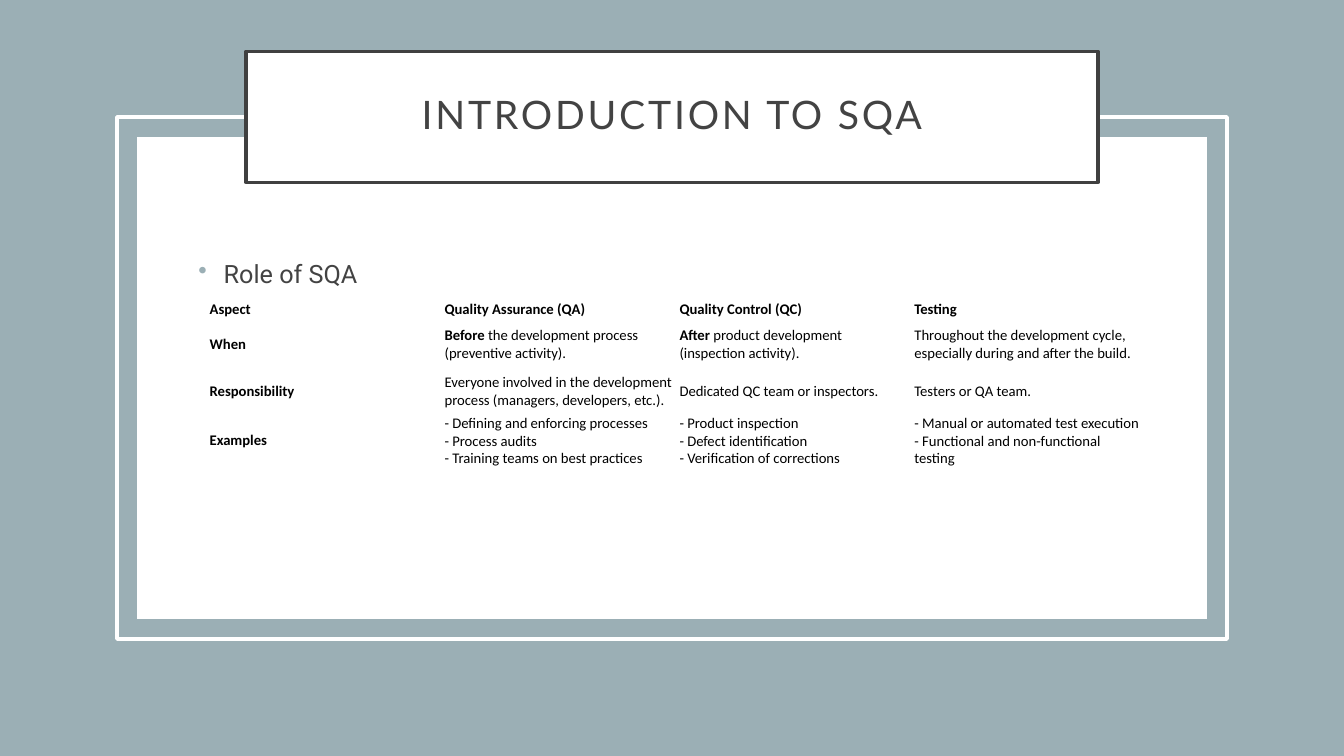
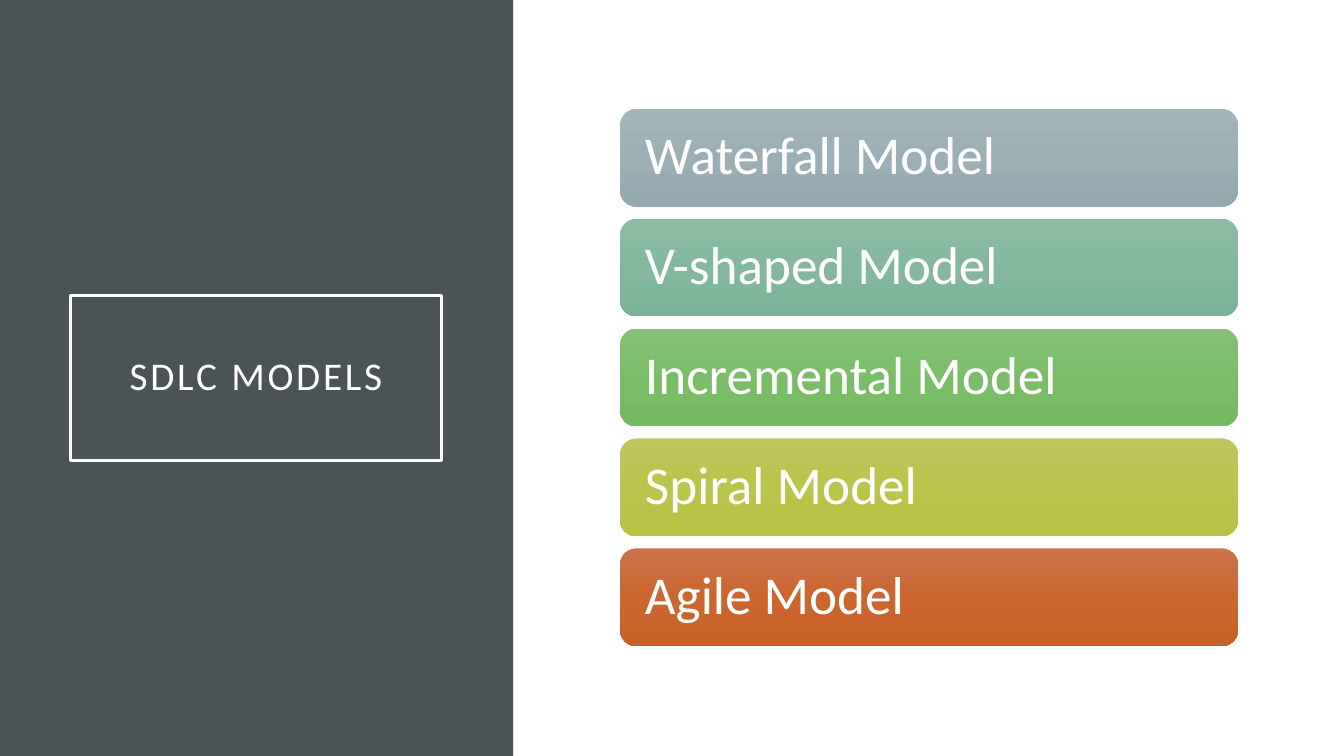
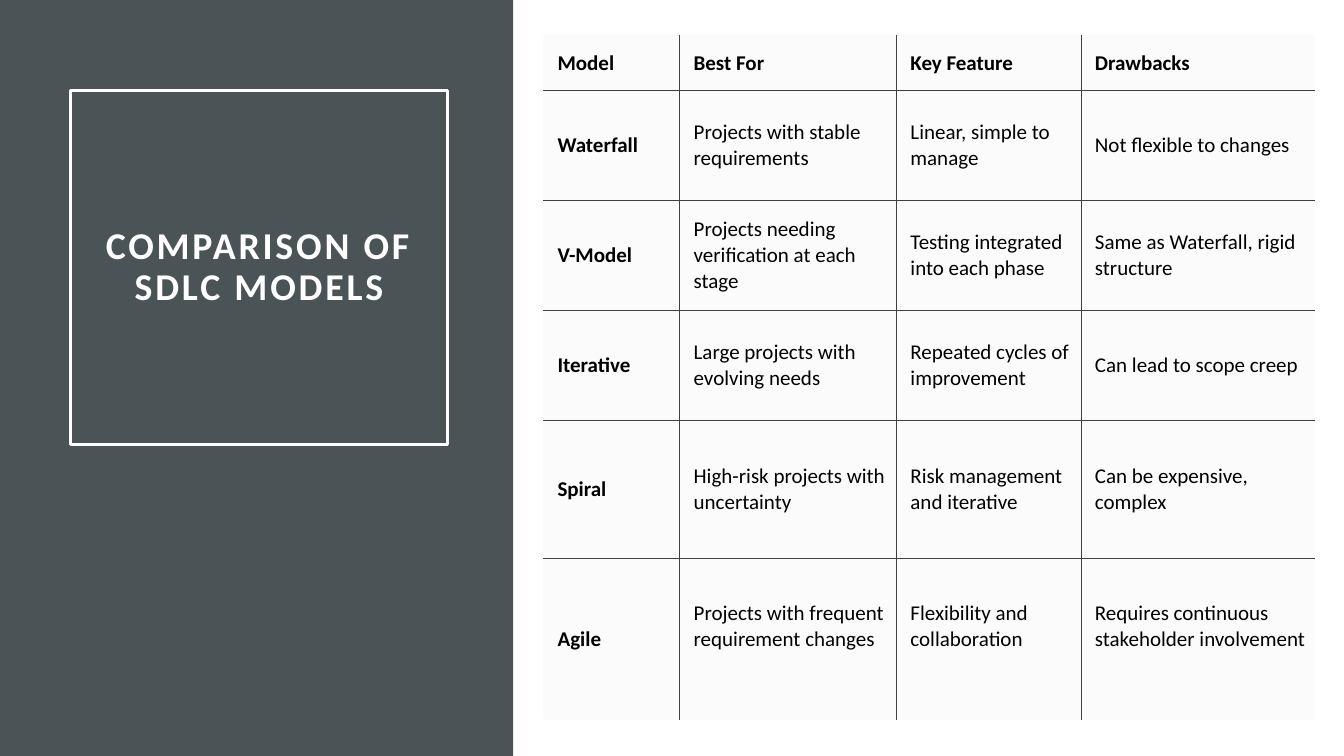
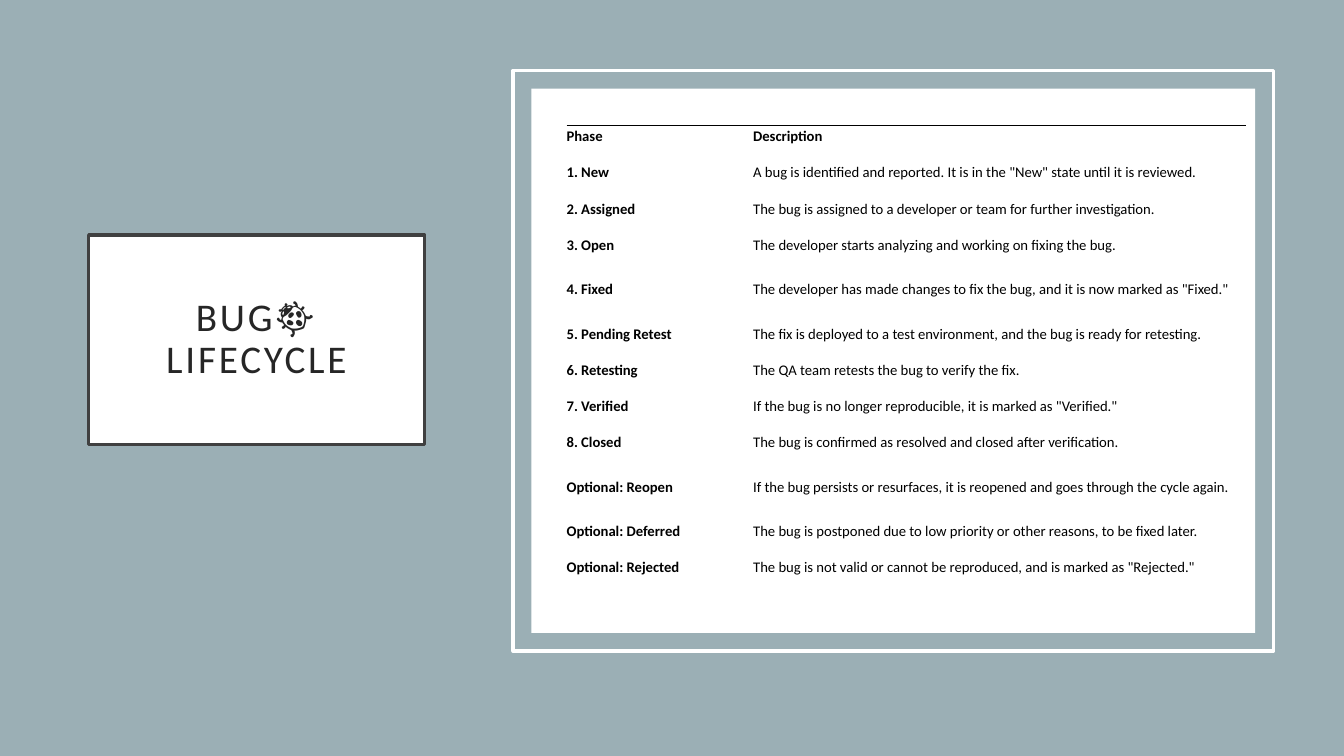
from lxml import etree
from pptx import Presentation
from pptx.dml.color import RGBColor
from pptx.enum.shapes import MSO_SHAPE
from pptx.enum.text import MSO_ANCHOR, PP_ALIGN
from pptx.oxml.ns import qn
from pptx.util import Inches, Pt

RECTANGLE = MSO_SHAPE.RECTANGLE
ROUNDED = MSO_SHAPE.ROUNDED_RECTANGLE
MIDDLE = MSO_ANCHOR.MIDDLE
CENTER = PP_ALIGN.CENTER
LEFT = PP_ALIGN.LEFT

WHITE = RGBColor(0xFF, 0xFF, 0xFF)
BLACK = RGBColor(0x00, 0x00, 0x00)
MIST = RGBColor(0x9B, 0xAF, 0xB5)
SLATE = RGBColor(0x4A, 0x53, 0x56)
CHARCOAL = RGBColor(0x40, 0x40, 0x40)
BODY_GRAY = RGBColor(0x43, 0x43, 0x43)
INK = RGBColor(0x26, 0x26, 0x26)
CELL_GRAY = RGBColor(0xF2, 0xF2, 0xF2)

SLIDE_WIDTH, SLIDE_HEIGHT = 13.33, 7.5
SIDEBAR_WIDTH = 5.09
FRAME_LINE = 2.5
FONT = "Calibri"
PLAIN_TABLE_STYLE = "{2D5ABB26-0587-4C30-8999-92F81FD0307C}"

# A tuple is a bold opening followed by regular text
ROLE_ROWS = [
    ["Aspect", "Quality Assurance (QA)", "Quality Control (QC)", "Testing"],
    ["When",
     ("Before", " the development process (preventive activity)."),
     ("After", " product development (inspection activity)."),
     "Throughout the development cycle, especially during and after the build."],
    ["Responsibility",
     "Everyone involved in the development process (managers, developers, etc.).",
     "Dedicated QC team or inspectors.",
     "Testers or QA team."],
    ["Examples",
     "- Defining and enforcing processes\n- Process audits\n- Training teams on best practices",
     "- Product inspection\n- Defect identification\n- Verification of corrections",
     "- Manual or automated test execution\n- Functional and non-functional testing"],
]

# Name and the three gradient colours from top to bottom
MODELS = [
    ("Waterfall Model", ("A3B5BB", "9BAFB5", "93A9AF")),
    ("V-shaped Model", ("8DBCA5", "83B89E", "7BB398")),
    ("Incremental Model", ("85C076", "7ABD68", "73B960")),
    ("Spiral Model", ("BEC65E", "BBC44B", "B8C243")),
    ("Agile Model", ("CC734B", "CB662F", "C86128")),
]

COMPARISON_ROWS = [
    ["Model", "Best For", "Key Feature", "Drawbacks"],
    ["Waterfall", "Projects with stable requirements",
     "Linear, simple to manage", "Not flexible to changes"],
    ["V-Model", "Projects needing verification at each stage",
     "Testing integrated into each phase", "Same as Waterfall, rigid structure"],
    ["Iterative", "Large projects with evolving needs",
     "Repeated cycles of improvement", "Can lead to scope creep"],
    ["Spiral", "High-risk projects with uncertainty",
     "Risk management and iterative", "Can be expensive, complex"],
    ["Agile", "Projects with frequent requirement changes",
     "Flexibility and collaboration", "Requires continuous stakeholder involvement"],
]

LIFECYCLE_ROWS = [
    ["Phase", "Description"],
    ["1. New", 'A bug is identified and reported. It is in the "New" state until it is reviewed.'],
    ["2. Assigned", "The bug is assigned to a developer or team for further investigation."],
    ["3. Open", "The developer starts analyzing and working on fixing the bug."],
    ["4. Fixed", 'The developer has made changes to fix the bug, and it is now marked as "Fixed."'],
    ["5. Pending Retest",
     "The fix is deployed to a test environment, and the bug is ready for retesting."],
    ["6. Retesting", "The QA team retests the bug to verify the fix."],
    ["7. Verified", 'If the bug is no longer reproducible, it is marked as "Verified."'],
    ["8. Closed", "The bug is confirmed as resolved and closed after verification."],
    ["Optional: Reopen",
     "If the bug persists or resurfaces, it is reopened and goes through the cycle again."],
    ["Optional: Deferred",
     "The bug is postponed due to low priority or other reasons, to be fixed later."],
    ["Optional: Rejected",
     'The bug is not valid or cannot be reproduced, and is marked as "Rejected."'],
]


# Shapes and text

def add_box(slide, left, top, width, height, fill=None, line=None, preset=RECTANGLE):
    shape = slide.shapes.add_shape(
        preset, Inches(left), Inches(top), Inches(width), Inches(height))
    shape.shadow.inherit = False
    if fill is None:
        shape.fill.background()
    else:
        shape.fill.solid()
        shape.fill.fore_color.rgb = fill
    if line is None:
        shape.line.fill.background()
    else:
        shape.line.color.rgb = line
        shape.line.width = Pt(FRAME_LINE)
    return shape


def set_margins(target, left, top, right, bottom):
    target.margin_left, target.margin_top = Inches(left), Inches(top)
    target.margin_right, target.margin_bottom = Inches(right), Inches(bottom)


def format_run(run, size, color, font=FONT, bold=False):
    run.font.size = Pt(size)
    run.font.name = font
    run.font.bold = bold
    run.font.color.rgb = color


def write_line(shape, text, size, color, align, side, font=FONT, bold=False):
    """One middle-anchored paragraph; returns its run."""
    text_frame = shape.text_frame
    text_frame.word_wrap = True
    text_frame.vertical_anchor = MIDDLE
    set_margins(text_frame, side, 0.2, side, 0.2)
    paragraph = text_frame.paragraphs[0]
    paragraph.text = text
    paragraph.alignment = align
    paragraph.line_spacing = 0.9
    run = paragraph.runs[0]
    format_run(run, size, color, font, bold)
    return run


def add_title(slide, text, box, color, line, fill=None, size=28, side=0.2,
              font=FONT, bold=False):
    shape = add_box(slide, *box, fill=fill, line=line)
    run = write_line(shape, text, size, color, CENTER, side, font, bold)
    run.font._element.set("spc", "200")


def add_bullet(slide, text, left, top, width, height):
    box = slide.shapes.add_textbox(
        Inches(left), Inches(top), Inches(width), Inches(height))
    box.text_frame.word_wrap = True
    paragraph = box.text_frame.paragraphs[0]
    paragraph.text = text
    properties = paragraph._p.get_or_add_pPr()
    properties.set("marL", str(Inches(0.25)))
    properties.set("indent", str(-Inches(0.25)))
    bullet_color = etree.SubElement(properties, qn("a:buClr"))
    etree.SubElement(bullet_color, qn("a:srgbClr"), val=str(MIST))
    etree.SubElement(properties, qn("a:buChar"), char="•")
    format_run(paragraph.runs[0], 18, BODY_GRAY, "Roboto")


def set_gradient(shape, colors):
    """Top-to-bottom gradient with evenly spaced stops."""
    shape.fill.gradient()
    gradient = shape._element.spPr.find(qn("a:gradFill"))
    stops = gradient.find(qn("a:gsLst"))
    for stop in list(stops):
        stops.remove(stop)
    for index, color in enumerate(colors):
        position = 100000 * index // (len(colors) - 1)
        stop = etree.SubElement(stops, qn("a:gs"), pos=str(position))
        etree.SubElement(stop, qn("a:srgbClr"), val=color)
    gradient.find(qn("a:lin")).set("ang", "5400000")


# Shared backdrops

def add_panel_backdrop(slide, left, top, width, height, inset):
    """Coloured page with a white panel inside a white outline."""
    add_box(slide, 0, 0, SLIDE_WIDTH, SLIDE_HEIGHT, fill=MIST)
    add_box(slide, left + inset, top + inset, width - 2 * inset, height - 2 * inset,
            fill=WHITE)
    add_box(slide, left, top, width, height, line=WHITE)


def add_sidebar(slide):
    add_box(slide, 0, 0, SIDEBAR_WIDTH, SLIDE_HEIGHT, fill=SLATE)


# Tables

def add_border(cell, side, color):
    line = etree.SubElement(cell._tc.get_or_add_tcPr(), qn("a:ln" + side),
                            w=str(Pt(0.5)))
    fill = etree.SubElement(line, qn("a:solidFill"))
    etree.SubElement(fill, qn("a:srgbClr"), val=str(color))


def write_cell(cell, content, size, bold):
    opening, rest = content if isinstance(content, tuple) else (content, "")
    cell.text_frame.text = opening
    for paragraph in cell.text_frame.paragraphs:
        for run in paragraph.runs:
            format_run(run, size, BLACK, bold=bold or bool(rest))
    if rest:
        run = cell.text_frame.paragraphs[0].add_run()
        run.text = rest
        format_run(run, size, BLACK)


def add_plain_table(slide, left, top, widths, heights, rows, size, margins):
    """Unstyled table with a bold first row and column; spare rows stay empty."""
    frame = slide.shapes.add_table(
        len(heights), len(widths), Inches(left), Inches(top),
        Inches(sum(widths)), Inches(sum(heights)))
    table = frame.table
    frame._element.find(".//" + qn("a:tableStyleId")).text = PLAIN_TABLE_STYLE
    table.horz_banding = False
    for column, width in zip(table.columns, widths):
        column.width = Inches(width)
    for row, height in zip(table.rows, heights):
        row.height = Inches(height)
    for cell in table.iter_cells():
        cell.vertical_anchor = MIDDLE
        set_margins(cell, *margins)
        cell.fill.background()
    for row_index, row in enumerate(rows):
        for column_index, content in enumerate(row):
            write_cell(table.cell(row_index, column_index), content, size,
                       bold=row_index == 0 or column_index == 0)
    return table


def add_inner_grid(table, row_count, column_count):
    """Translucent cells, ruled only between neighbours."""
    for row in range(row_count):
        for column in range(column_count):
            cell = table.cell(row, column)
            properties = cell._tc.get_or_add_tcPr()
            properties.remove(properties.find(qn("a:noFill")))
            edges = (("L", column > 0), ("R", column < column_count - 1),
                     ("T", row > 0), ("B", row < row_count - 1))
            for side, is_inner in edges:
                if is_inner:
                    add_border(cell, side, CHARCOAL)
            cell.fill.solid()
            cell.fill.fore_color.rgb = CELL_GRAY
            color = properties.find(qn("a:solidFill")).find(qn("a:srgbClr"))
            etree.SubElement(color, qn("a:alpha"), val="30000")


# Slides

def build_introduction(slide):
    add_panel_backdrop(slide, 1.16, 1.16, 11.01, 5.18, inset=0.2)
    add_title(slide, "INTRODUCTION TO SQA", (2.44, 0.51, 8.45, 1.3), BODY_GRAY,
              CHARCOAL, fill=WHITE, font="Lato")
    add_bullet(slide, "Role of SQA", 1.87, 2.51, 9.6, 3.15)
    add_plain_table(slide, 2.05, 2.97, [2.33] * 4,
                    [0.2, 0.5, 0.43, 0.54, 0.36, 0.36, 0.43],
                    ROLE_ROWS, 10.5, (0.03, 0.01, 0.03, 0.01))


def build_models(slide):
    add_sidebar(slide)
    add_title(slide, "SDLC MODELS", (0.7, 2.93, 3.68, 1.64), WHITE, WHITE)
    bar_height, gap = 0.97, 0.12
    for index, (name, colors) in enumerate(MODELS):
        top = 1.08 + index * (bar_height + gap)
        bar = add_box(slide, 6.15, top, 6.13, bar_height, preset=ROUNDED)
        set_gradient(bar, colors)
        write_line(bar, name, 38, WHITE, LEFT, 0.2)


def build_comparison(slide):
    add_sidebar(slide)
    add_title(slide, "COMPARISON OF SDLC MODELS", (0.7, 0.9, 3.74, 3.51), WHITE,
              WHITE, size=27, side=0.3, bold=True)
    widths = [1.35, 2.15, 1.83, 2.32]
    heights = [0.55, 1.09, 1.09, 1.09, 1.37, 1.6]
    table = add_plain_table(slide, 5.39, 0.35, widths, heights, COMPARISON_ROWS,
                            15, (0.14, 0.11, 0.06, 0.11))
    add_inner_grid(table, len(heights), len(widths))
    # The last row's descriptions sit slightly above the middle
    for column in range(1, len(widths)):
        table.cell(len(heights) - 1, column).margin_bottom = Inches(0.36)


def build_lifecycle(slide):
    add_panel_backdrop(slide, 5.09, 0.7, 7.54, 5.76, inset=0.18)
    add_title(slide, "BUG🐞 LIFECYCLE", (0.88, 2.33, 3.33, 2.08), INK, CHARCOAL,
              fill=WHITE, side=0.3)
    heights = [0.36] * len(LIFECYCLE_ROWS)
    heights[4] = heights[9] = 0.52
    table = add_plain_table(slide, 5.62, 1.24, [1.85, 4.89], heights,
                            LIFECYCLE_ROWS, 10.5, (0, 0.02, 0.05, 0.15))
    for column in range(2):
        cell = table.cell(0, column)
        properties = cell._tc.get_or_add_tcPr()
        properties.remove(properties.find(qn("a:noFill")))
        add_border(cell, "T", BLACK)
        cell.fill.background()


def main():
    presentation = Presentation()
    presentation.slide_width = Inches(SLIDE_WIDTH)
    presentation.slide_height = Inches(SLIDE_HEIGHT)
    blank = presentation.slide_layouts[6]
    for build in (build_introduction, build_models, build_comparison, build_lifecycle):
        build(presentation.slides.add_slide(blank))
    presentation.save("out.pptx")


if __name__ == "__main__":
    main()
